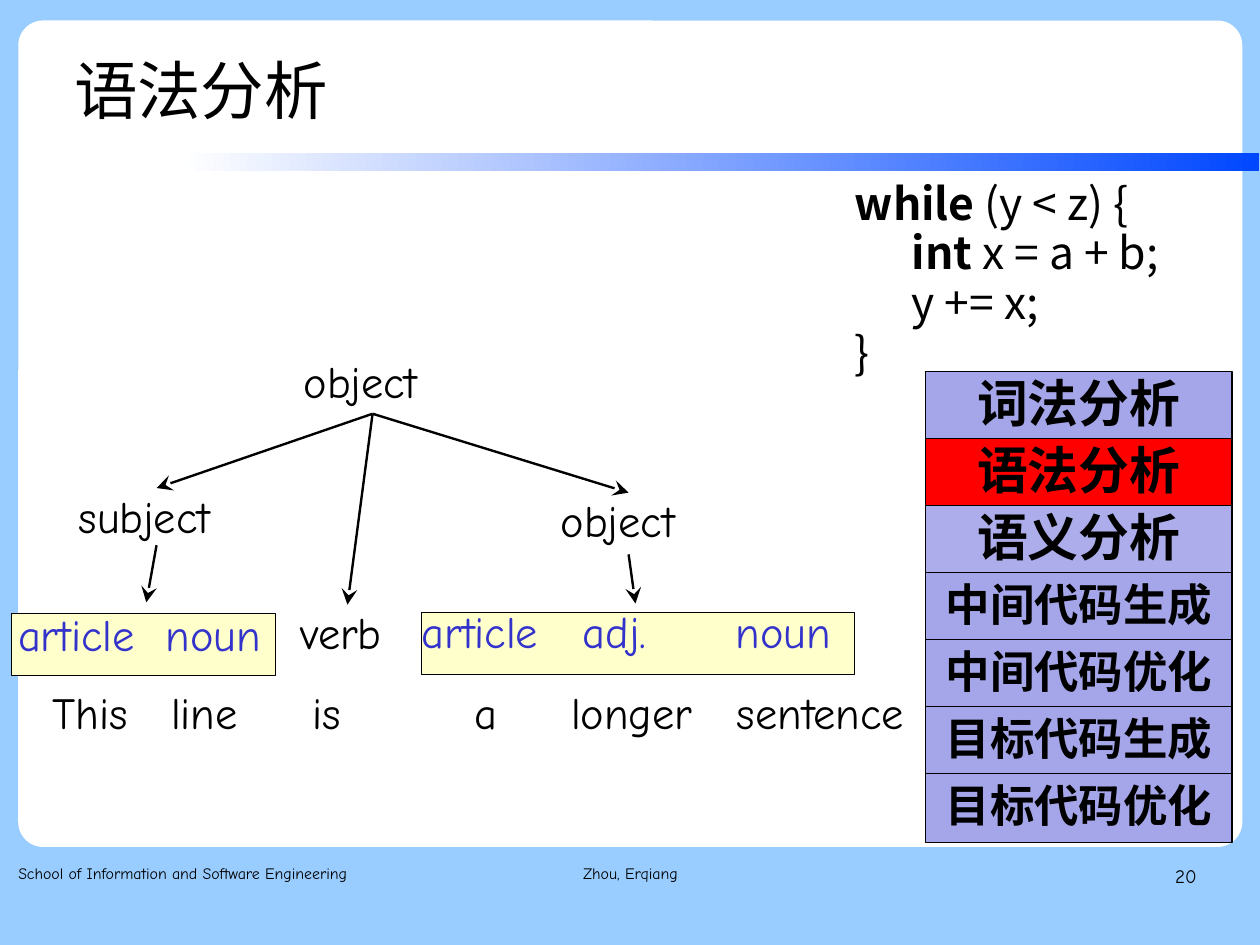
from dataclasses import dataclass

import pptx
import pptx.dml.color
import pptx.enum.shapes
import pptx.enum.text
import pptx.oxml
import pptx.oxml.ns
import pptx.util
from lxml import etree

Inches = pptx.util.Inches
Align = pptx.enum.text.PP_ALIGN
Anchor = pptx.enum.text.MSO_ANCHOR
Preset = pptx.enum.shapes.MSO_SHAPE
SLIDE_WIDTH = pptx.util.Emu(10080625)
SLIDE_HEIGHT = pptx.util.Emu(7559675)
LATIN = "Comic Neue"
CJK = "Noto Sans CJK SC"
BLACK = "000000"
BLUE = "3333CC"
LILAC = "A5A5E9"


@dataclass
class Style:
    size: float = 28
    font: str = LATIN
    color: str = BLACK
    bold: bool = False
    align: Align = Align.LEFT
    spacing: float = 0.93


@dataclass
class Label:
    """Text box; each line is a list of (text, bold) runs."""
    box: tuple[float, float, float, float]
    lines: list[list[tuple[str, bool]]]
    style: Style
    tabs: tuple[float, ...] = ()
    inset: bool = True


@dataclass
class Stage:
    name: str
    size: float = 28
    fill: str = LILAC


def plain(text: str) -> list[list[tuple[str, bool]]]:
    return [[(text, False)]]


BLUE_WORDS = Style(color=BLUE)
CODE = [
    [("while", True), (" (y < z) {", False)],
    [("\t", False), ("int", True), (" x = a + b;", False)],
    [("\ty += x;", False)],
    [("}", False)],
]
LABELS = [
    Label((0.55, 0.33, 8.58, 1.01), plain("语法分析"), Style(40, CJK, spacing=1.1)),
    Label((7.38, 1.53, 3.45, 1.85), CODE, Style(font=CJK), tabs=(0.5,)),
    Label((3.77, 7.53, 3.49, 0.57), plain("Zhou, Erqiang"),
          Style(10, align=Align.CENTER, spacing=1.16), inset=False),
    Label((7.9, 7.53, 2.57, 0.57), plain("20"),
          Style(12, align=Align.RIGHT, spacing=1.16), inset=False),
    Label((0.16, 7.53, 3.38, 0.57), plain("School of Information and Software Engineering"),
          Style(10, spacing=1.16), inset=False),
    Label((0.36, 5.99, 7.77, 0.53), plain("This\tline\tis\ta\tlonger\tsentence"),
          Style(), tabs=(1.04, 2.28, 3.69, 4.54, 5.99)),
    Label((0.06, 5.3, 2.44, 0.53), plain("article\tnoun"), BLUE_WORDS, tabs=(1.29,)),
    Label((0.59, 4.27, 1.57, 0.53), plain("subject"), Style()),
    Label((4.81, 4.31, 1.39, 0.53), plain("object"), Style()),
    Label((2.56, 3.09, 1.39, 0.53), plain("object"), Style()),
    Label((2.53, 5.29, 1.02, 0.53), plain("verb"), Style()),
    Label((3.59, 5.28, 3.94, 0.53), plain("article\tadj.\tnoun"), BLUE_WORDS, tabs=(1.41, 2.75)),
]

PHRASES = [(0.1, 5.37, 2.31, 0.54), (3.69, 5.36, 3.79, 0.54)]

ROOT = (3.26, 3.62)
ARROWS = [
    ((1.37, 4.77), (1.28, 5.27)),
    ((5.5, 4.85), (5.56, 5.28)),
    (ROOT, (1.37, 4.27)),
    (ROOT, (3.04, 5.29)),
    (ROOT, (5.5, 4.31)),
]

STAGES = [
    Stage("词法分析", 32),
    Stage("语法分析", 32, "FF0000"),
    Stage("语义分析", 32, "ADADEB"),
    Stage("中间代码生成"),
    Stage("中间代码优化"),
    Stage("目标代码生成"),
    Stage("目标代码优化"),
]
STAGE_TOP = 3.25
STAGE_PITCH = (6.77 - STAGE_TOP) / (len(STAGES) - 1)


def rgb(color: str) -> pptx.dml.color.RGBColor:
    return pptx.dml.color.RGBColor.from_string(color)


def write_lines(frame, lines, style: Style, tabs=()) -> None:
    frame.word_wrap = True
    for index, runs in enumerate(lines):
        paragraph = frame.paragraphs[0] if index == 0 else frame.add_paragraph()
        paragraph.alignment = style.align
        paragraph.line_spacing = style.spacing
        properties = paragraph._p.get_or_add_pPr()
        if tabs:
            tab_list = etree.SubElement(properties, pptx.oxml.ns.qn("a:tabLst"))
            for position in tabs:
                etree.SubElement(tab_list, pptx.oxml.ns.qn("a:tab"),
                                 pos=str(Inches(position)), algn="l")
        font = paragraph.font
        font.size = pptx.util.Pt(style.size)
        font.name = style.font
        font.bold = style.bold
        font.color.rgb = rgb(style.color)
        defaults = properties.find(pptx.oxml.ns.qn("a:defRPr"))
        etree.SubElement(defaults, pptx.oxml.ns.qn("a:ea"), typeface=style.font)
        for text, bold in runs:
            run = paragraph.add_run()
            run.text = text
            if bold:
                run.font.bold = True


def add_label(slide, label: Label) -> None:
    frame = slide.shapes.add_textbox(*map(Inches, label.box)).text_frame
    if not label.inset:
        frame.margin_left = frame.margin_right = frame.margin_top = frame.margin_bottom = 0
    write_lines(frame, label.lines, label.style, label.tabs)


def add_block(slide, box, fill: str, preset=Preset.RECTANGLE, outlined: bool = True):
    shape = slide.shapes.add_shape(preset, *map(Inches, box))
    shape.shadow.inherit = False
    shape.fill.solid()
    shape.fill.fore_color.rgb = rgb(fill)
    if outlined:
        shape.line.color.rgb = rgb(BLACK)
        shape.line.width = pptx.util.Pt(0.75)
    else:
        shape.line.fill.background()
    return shape


def add_arrow(slide, start, end) -> None:
    connector = slide.shapes.add_connector(
        pptx.enum.shapes.MSO_CONNECTOR.STRAIGHT, *map(Inches, start + end))
    connector.line.color.rgb = rgb(BLACK)
    connector.line.width = pptx.util.Pt(1.5)
    etree.SubElement(connector.line._get_or_add_ln(), pptx.oxml.ns.qn("a:tailEnd"),
                     type="stealth", w="lg", len="lg")
    etree.SubElement(connector._element.spPr, pptx.oxml.ns.qn("a:effectLst"))


def add_backdrop(slide) -> None:
    slide.background.fill.solid()
    slide.background.fill.fore_color.rgb = rgb("99CCFF")
    panel = add_block(slide, (0.16, 0.18, 10.71, 7.23), "FFFFFF",
                      Preset.ROUNDED_RECTANGLE, outlined=False)
    panel.adjustments[0] = 0.03
    rule = add_block(slide, (1.57, 1.34, 9.45, 0.16), "FFFFFF", outlined=False)
    rule.fill.gradient()
    rule.fill.gradient_angle = 0
    for stop, color in zip(rule.fill.gradient_stops, ("FFFFFF", "0047FF")):
        stop.color.rgb = rgb(color)


def main() -> None:
    presentation = pptx.Presentation()
    presentation.slide_width = SLIDE_WIDTH
    presentation.slide_height = SLIDE_HEIGHT
    slide = presentation.slides.add_slide(presentation.slide_layouts[6])
    add_backdrop(slide)
    for box in PHRASES:
        add_block(slide, box, "FFFFCC")
    for label in LABELS:
        add_label(slide, label)
    for start, end in ARROWS:
        add_arrow(slide, start, end)
    for index, stage in enumerate(STAGES):
        box = (8.1, STAGE_TOP + index * STAGE_PITCH, 2.68, 0.6)
        frame = add_block(slide, box, stage.fill).text_frame
        frame.vertical_anchor = Anchor.MIDDLE
        write_lines(frame, plain(stage.name),
                    Style(stage.size, CJK, bold=True, align=Align.CENTER))
    presentation.save("out.pptx")


if __name__ == "__main__":
    main()
